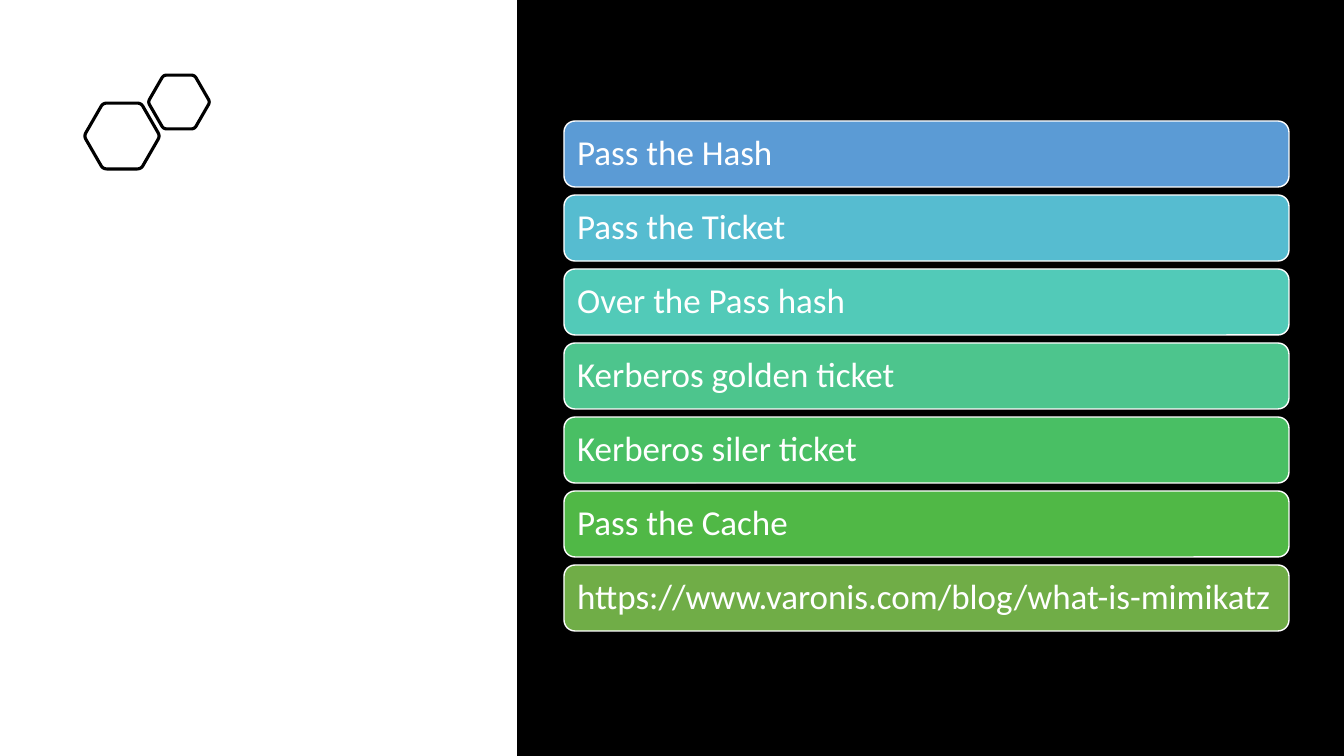
from math import cos, radians, sin

from pptx import Presentation
from pptx.dml.color import RGBColor
from pptx.enum.shapes import MSO_SHAPE
from pptx.enum.text import MSO_ANCHOR, PP_ALIGN
from pptx.util import Emu, Pt

# Content: attack names with bar colours
ATTACKS = [
    ("Pass the Hash", "5B9BD5"),
    ("Pass the Ticket", "56BCD0"),
    ("Over the Pass hash", "52CAB8"),
    ("Kerberos golden ticket", "4DC58D"),
    ("Kerberos siler ticket", "49BF64"),
    ("Pass the Cache", "50B846"),
    ("https://www.varonis.com/blog/what-is-mimikatz", "70AD47"),
]
# Hexagons: centre x, centre y, radius
HEXAGONS = [(122, 136, 38), (179, 102, 31)]

# Layout in px
SLIDE_W, SLIDE_H = 1344, 756
PANEL_W = 517
BAR_X, BAR_Y, BAR_W, BAR_H, BAR_PITCH = 564, 121, 725, 66, 74
INSET = 10
ROUNDING = 0.1
CURVE_STEPS = 6


def px(n):
    return Emu(round(n * 914400 / 100.8))


def color(hex_text):
    return RGBColor.from_string(hex_text)


def add_box(slide, kind, x, y, w, h, fill):
    sp = slide.shapes.add_shape(kind, px(x), px(y), px(w), px(h))
    sp.shadow.inherit = False
    sp.fill.solid()
    sp.fill.fore_color.rgb = color(fill)
    sp.line.fill.background()
    return sp


def set_line(sp, hex_text, width):
    sp.line.color.rgb = color(hex_text)
    sp.line.width = Pt(width)


def hexagon_points(cx, cy, radius):
    """Outline of a regular hexagon whose corners are rounded by short curves."""
    corners = [(cx + radius * cos(radians(a)), cy + radius * sin(radians(a)))
               for a in range(0, 360, 60)]
    points = []
    for i, corner in enumerate(corners):
        before, after = corners[i - 1], corners[(i + 1) % 6]
        for step in range(CURVE_STEPS + 1):
            t = step / CURVE_STEPS
            to_before, to_after = ROUNDING * (1 - t) ** 2, ROUNDING * t ** 2
            points.append(tuple(
                px(c + to_before * (b - c) + to_after * (a - c))
                for b, c, a in zip(before, corner, after)))
    return points


def add_hexagon(slide, cx, cy, radius):
    start, *rest = hexagon_points(cx, cy, radius)
    builder = slide.shapes.build_freeform(*start)
    builder.add_line_segments(rest, close=True)
    sp = builder.convert_to_shape()
    sp.shadow.inherit = False
    sp.fill.background()
    set_line(sp, "000000", 2.25)


def add_bar(slide, row, text, fill):
    sp = add_box(slide, MSO_SHAPE.ROUNDED_RECTANGLE,
                 BAR_X, BAR_Y + row * BAR_PITCH, BAR_W, BAR_H, fill)
    set_line(sp, "FFFFFF", 1)
    tf = sp.text_frame
    tf.word_wrap = True
    tf.vertical_anchor = MSO_ANCHOR.MIDDLE
    tf.margin_left = tf.margin_right = px(INSET)
    tf.margin_top = tf.margin_bottom = px(INSET)
    p = tf.paragraphs[0]
    p.text = text
    p.alignment = PP_ALIGN.LEFT
    p.line_spacing = 0.9
    p.font.name = "Calibri"
    p.font.size = Pt(25)
    p.font.color.rgb = color("FFFFFF")


def main():
    prs = Presentation()
    prs.slide_width, prs.slide_height = px(SLIDE_W), px(SLIDE_H)
    slide = prs.slides.add_slide(prs.slide_layouts[6])

    # Black background with a white panel on the left
    slide.background.fill.solid()
    slide.background.fill.fore_color.rgb = color("000000")
    add_box(slide, MSO_SHAPE.RECTANGLE, 0, 0, PANEL_W, SLIDE_H, "FFFFFF")

    # Hexagon ornament
    for hexagon in HEXAGONS:
        add_hexagon(slide, *hexagon)

    # List of attacks
    for row, (text, fill) in enumerate(ATTACKS):
        add_bar(slide, row, text, fill)

    prs.save("out.pptx")


if __name__ == "__main__":
    main()
